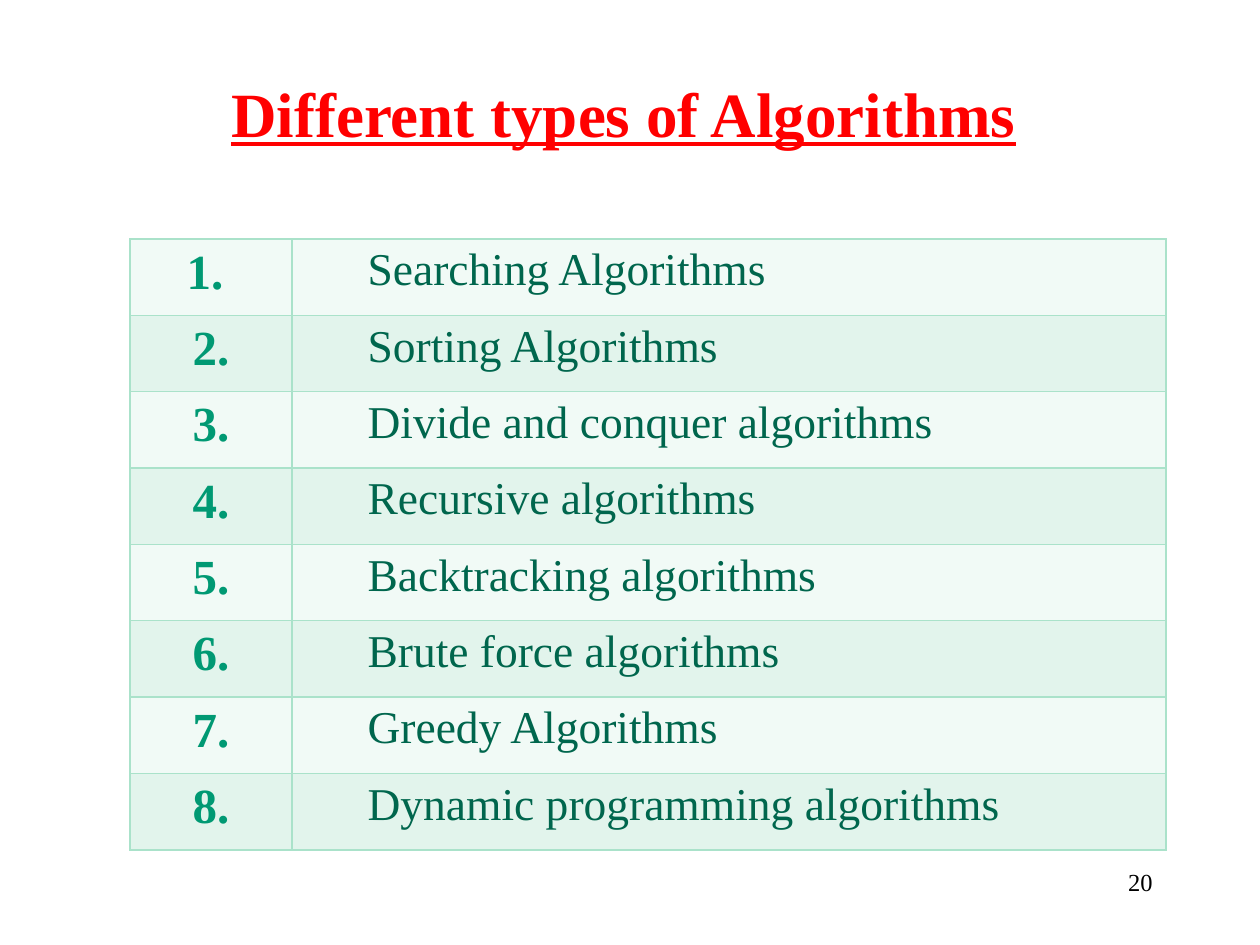
import pptx
import pptx.dml.color
import pptx.enum.text
import pptx.oxml.ns
import pptx.util
import lxml.etree

RGBColor = pptx.dml.color.RGBColor
Align = pptx.enum.text.PP_ALIGN
Anchor = pptx.enum.text.MSO_ANCHOR

HEADING = "Different types of Algorithms"
PAGE_NUMBER = "20"
ALGORITHMS = [
    ("1. ", "Searching Algorithms"),
    ("2.", "Sorting Algorithms"),
    ("3.", "Divide and conquer algorithms"),
    ("4.", "Recursive algorithms"),
    ("5.", "Backtracking algorithms"),
    ("6.", "Brute force algorithms"),
    ("7.", "Greedy Algorithms"),
    ("8.", "Dynamic programming algorithms"),
]

FONT = "Times New Roman"
RED = RGBColor(0xFF, 0x00, 0x00)
BLACK = RGBColor(0x00, 0x00, 0x00)
GREEN = RGBColor(0x00, 0x99, 0x73)
DARK_GREEN = RGBColor(0x00, 0x66, 0x4D)
BORDER = RGBColor(0xAA, 0xE2, 0xCA)
BANDS = [RGBColor(0xF1, 0xFA, 0xF6), RGBColor(0xE2, 0xF4, 0xEC)]

PX_PER_INCH = 126
TABLE_BOX = (130, 239, 1036, 611)
NUMBER_WIDTH = 162
NAME_INDENT = 63


def px(length):
    return round(length * 914400 / PX_PER_INCH)


def place(shape, left, top, width, height):
    shape.left, shape.top = px(left), px(top)
    shape.width, shape.height = px(width), px(height)


def write(frame, text, size, color, align, bold=False, underline=False):
    frame.text = text
    paragraph = frame.paragraphs[0]
    paragraph.alignment = align
    font = paragraph.font
    font.name, font.size = FONT, pptx.util.Pt(size)
    font.bold, font.underline = bold, underline
    font.color.rgb = color
    return paragraph


def outline(cell):
    properties = cell._tc.get_or_add_tcPr()
    qn = pptx.oxml.ns.qn
    for position, side in enumerate(("lnL", "lnR", "lnT", "lnB")):
        line = lxml.etree.Element(qn(f"a:{side}"), w=str(pptx.util.Pt(1)))
        solid = lxml.etree.SubElement(line, qn("a:solidFill"))
        lxml.etree.SubElement(solid, qn("a:srgbClr"), val=str(BORDER))
        properties.insert(position, line)


def add_heading(slide):
    heading = slide.shapes.title
    place(heading, 126, 73, 995, 147)
    frame = heading.text_frame
    frame.auto_size = pptx.enum.text.MSO_AUTO_SIZE.NONE
    frame.vertical_anchor = Anchor.TOP
    frame.margin_top = px(1)
    write(frame, HEADING, 36, RED, Align.CENTER, bold=True, underline=True)


def add_algorithms(slide):
    left, top, width, height = TABLE_BOX
    frame = slide.shapes.add_table(
        len(ALGORITHMS), 2, px(left), px(top), px(width), px(height))
    table = frame.table
    table.first_row = False
    table.columns[0].width = px(NUMBER_WIDTH)
    table.columns[1].width = px(width - NUMBER_WIDTH)
    for index, (number, name) in enumerate(ALGORITHMS):
        table.rows[index].height = px(height / len(ALGORITHMS))
        number_cell, name_cell = table.rows[index].cells
        write(number_cell.text_frame, number, 28, GREEN, Align.CENTER, bold=True)
        entry = write(name_cell.text_frame, name, 26, DARK_GREEN, Align.LEFT)
        entry.level = 1
        indent = entry._p.get_or_add_pPr()
        indent.set("marL", str(px(NAME_INDENT)))
        indent.set("indent", "0")
        for cell in (number_cell, name_cell):
            cell.fill.solid()
            cell.fill.fore_color.rgb = BANDS[index % 2]
            outline(cell)


def add_page_number(slide):
    page_number = slide.shapes.add_textbox(px(903), px(861), px(262), px(63))
    page_number.text_frame.word_wrap = True
    write(page_number.text_frame, PAGE_NUMBER, 14, BLACK, Align.RIGHT)


def main():
    deck = pptx.Presentation()
    deck.slide_width, deck.slide_height = px(1260), px(945)
    slide = deck.slides.add_slide(deck.slide_layouts[5])
    add_heading(slide)
    add_page_number(slide)
    add_algorithms(slide)
    deck.save("out.pptx")


if __name__ == "__main__":
    main()
